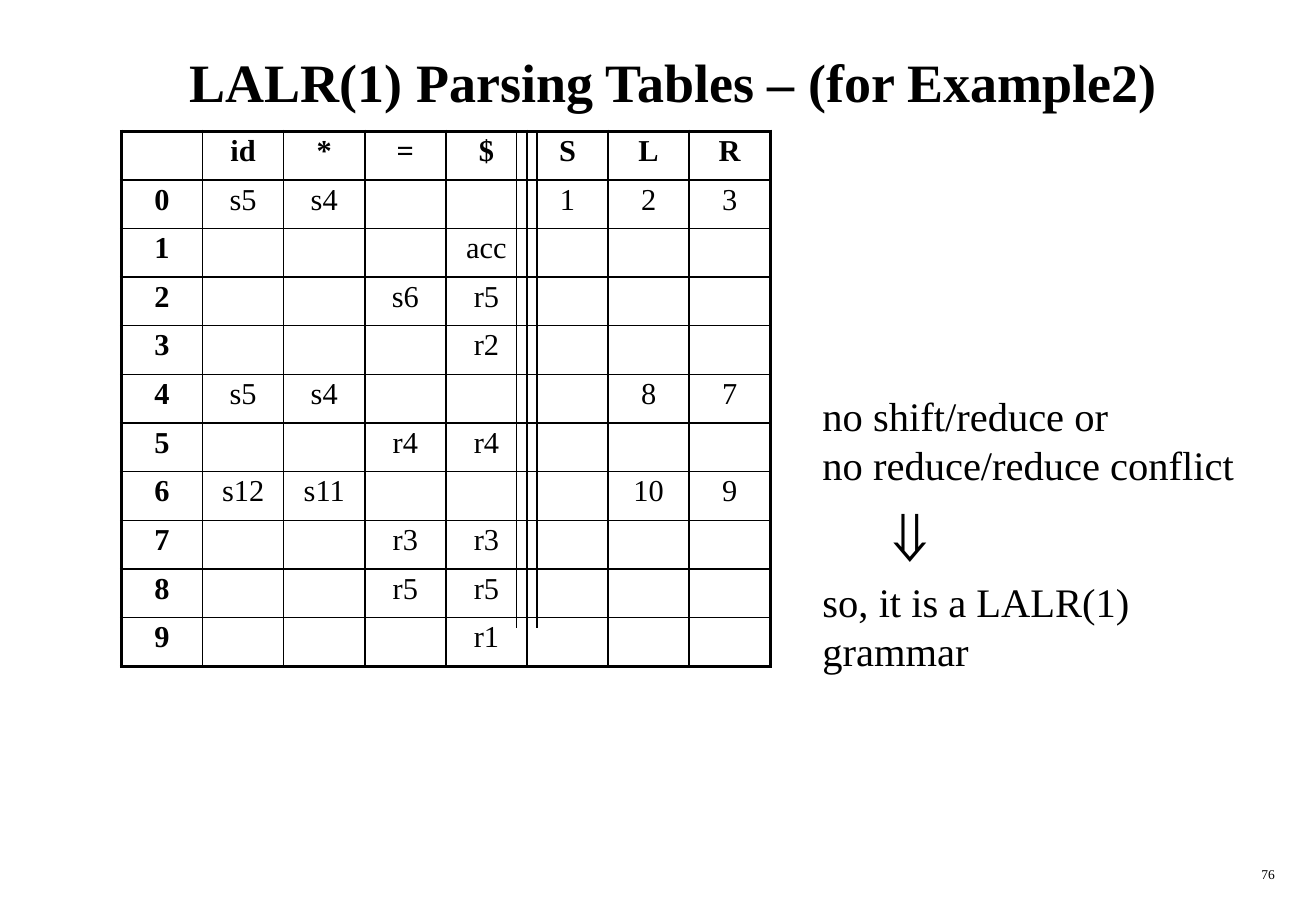
from lxml import etree
from pptx import Presentation
from pptx.dml.color import RGBColor
from pptx.enum.shapes import MSO_CONNECTOR
from pptx.enum.text import MSO_ANCHOR, PP_ALIGN
from pptx.oxml.ns import qn
from pptx.util import Inches, Pt

LEFT, CENTER, RIGHT = PP_ALIGN.LEFT, PP_ALIGN.CENTER, PP_ALIGN.RIGHT
TOP, MIDDLE = MSO_ANCHOR.TOP, MSO_ANCHOR.MIDDLE
STRAIGHT = MSO_CONNECTOR.STRAIGHT

# Content
TITLE = "LALR(1) Parsing Tables – (for Example2)"
PAGE = "76"
HEADER = ("", "id", "*", "=", "$", "S", "L", "R")
STATES = [
    ("s5", "s4", "", "", "1", "2", "3"),
    ("", "", "", "acc", "", "", ""),
    ("", "", "s6", "r5", "", "", ""),
    ("", "", "", "r2", "", "", ""),
    ("s5", "s4", "", "", "", "8", "7"),
    ("", "", "r4", "r4", "", "", ""),
    ("s12", "s11", "", "", "", "10", "9"),
    ("", "", "r3", "r3", "", "", ""),
    ("", "", "r5", "r5", "", "", ""),
    ("", "", "", "r1", "", "", ""),
]
CONCLUSION = [
    ("no shift/reduce or", "note"),
    ("no reduce/reduce conflict", "note"),
    ("\t⇓", "arrow"),
    ("so, it is a LALR(1) grammar", "note"),
]

THEME = {
    "font": "Times New Roman",
    "ink": RGBColor(0, 0, 0),
    "sizes": {"title": 32, "cell": 18, "note": 24, "arrow": 44, "page": 8},
    "inner": 1, "outer": 2.25, "divider": 0.75,
}

# Layout, in inches
TITLE_BOX = (0.42, 0.17, 10.25, 1)
PAGE_BOX = (8.33, 7.08, 2.26, 0.25)
NOTE_BOX = (6.67, 3.17, 4.01, 2.03)
TABLE_BOX = (1, 1.08, 5.34, 4.15)
DIVIDER_X = (4.25, 4.42)
DIVIDER_Y = (1.08, 5.17)


def write(p, text, role, align=LEFT, bold=False):
    p.alignment = align
    r = p.add_run()
    r.text = text
    style = {"name": THEME["font"], "size": Pt(THEME["sizes"][role]), "bold": bold}
    for key, value in style.items():
        setattr(r.font, key, value)
    r.font.color.rgb = THEME["ink"]


def add_text(slide, box, lines, align=LEFT, anchor=TOP, bold=False):
    tf = slide.shapes.add_textbox(*map(Inches, box)).text_frame
    tf.word_wrap = True
    tf.vertical_anchor = anchor
    for i, (text, role) in enumerate(lines):
        p = tf.add_paragraph() if i else tf.paragraphs[0]
        write(p, text, role, align, bold)


def set_borders(cell, widths):
    tc_pr = cell._tc.get_or_add_tcPr()
    for i, (side, width) in enumerate(widths.items()):
        ln = etree.Element(qn(f"a:ln{side}"), w=str(Pt(width)))
        fill = etree.SubElement(ln, qn("a:solidFill"))
        etree.SubElement(fill, qn("a:srgbClr"), val=str(THEME["ink"]))
        tc_pr.insert(i, ln)


def add_parsing_table(slide):
    rows = [HEADER] + [(str(n), *cells) for n, cells in enumerate(STATES)]
    n_rows, n_cols = len(rows), len(HEADER)
    left, top, width, height = map(Inches, TABLE_BOX)
    table = slide.shapes.add_table(n_rows, n_cols, left, top, width, height).table
    table.first_row = table.horz_banding = False
    for col in table.columns:
        col.width = width // n_cols
    for i, row in enumerate(rows):
        table.rows[i].height = height // n_rows
        for j, text in enumerate(row):
            cell = table.cell(i, j)
            cell.fill.background()
            p = cell.text_frame.paragraphs[0]
            p.line_spacing = 0.9
            if text:
                write(p, text, "cell", CENTER, bold=i == 0 or j == 0)
            edges = {"L": j == 0, "R": j == n_cols - 1,
                     "T": i == 0, "B": i == n_rows - 1}
            set_borders(cell, {side: THEME["outer" if edge else "inner"]
                               for side, edge in edges.items()})


def add_divider(slide, x):
    y1, y2 = map(Inches, DIVIDER_Y)
    line = slide.shapes.add_connector(STRAIGHT, Inches(x), y1, Inches(x), y2)
    line.line.color.rgb = THEME["ink"]
    line.line.width = Pt(THEME["divider"])
    etree.SubElement(line._element.spPr, qn("a:effectLst"))


def main():
    prs = Presentation()
    prs.slide_width, prs.slide_height = Inches(10.83), Inches(7.5)
    slide = prs.slides.add_slide(prs.slide_layouts[6])

    # Page number and title
    add_text(slide, PAGE_BOX, [(PAGE, "page")], RIGHT)
    add_text(slide, TITLE_BOX, [(TITLE, "title")], CENTER, MIDDLE, bold=True)

    # Action and goto table, split by two extra lines
    add_parsing_table(slide)
    for x in DIVIDER_X:
        add_divider(slide, x)

    # Conclusion
    add_text(slide, NOTE_BOX, CONCLUSION)
    prs.save("out.pptx")


if __name__ == "__main__":
    main()
